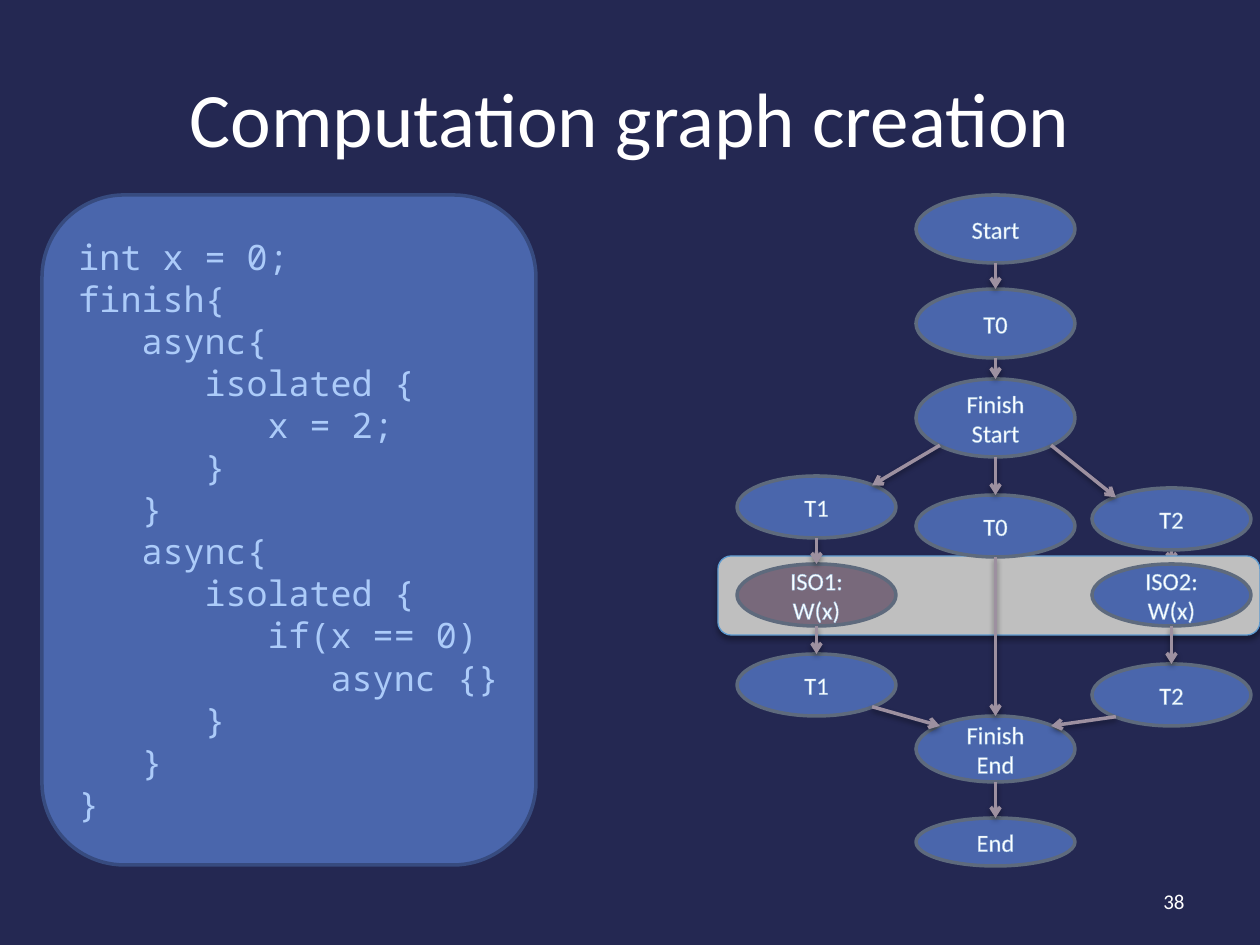
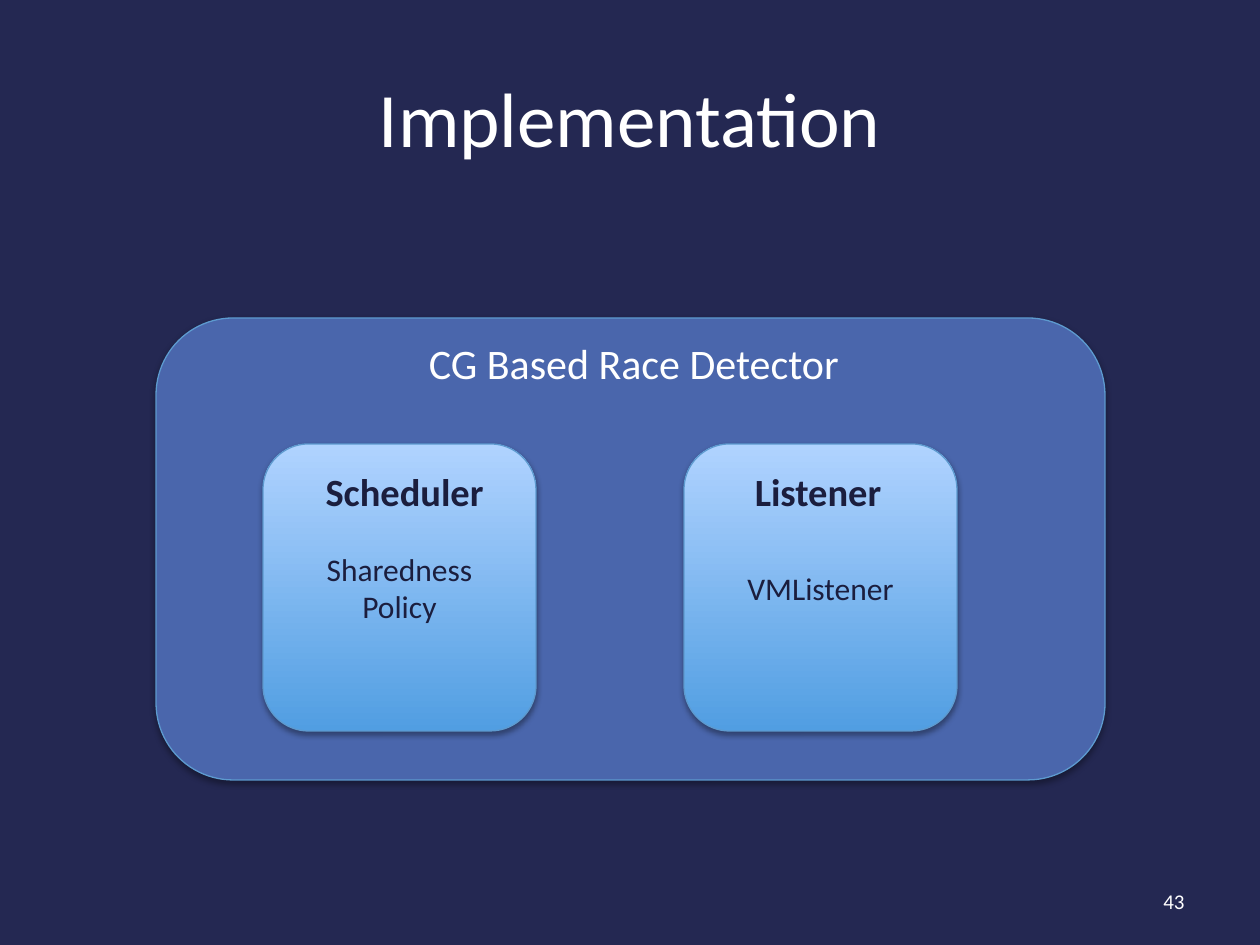
from lxml import etree
from pptx import Presentation, util as u
from pptx.dml import color
from pptx.enum import shapes, text
from pptx.oxml import ns

PX = 914400 / 126  # EMU in one px
SANS, MONO = "Calibri", "Noto Sans Mono"
NAVY, BLUE, WHITE, INK = "242852", "4A66AC", "FFFFFF", "1B1E3E"
SKY, SLATE, MAUVE, PLUM = "5D9ACF", "5E6A7D", "9D90A0", "78697B"
GLOW, CODE_TEXT, CODE_EDGE, GREY = "A1C4E3", "ACCBF9", "374B7F", "BFBFBF"
GRADIENT = ("519EE2", "B0D3FF")  # bottom to top
BOX_SHADOW, ARROW_SHADOW = (35, 23000), (38, 20000)  # opacity %, distance
LEFT, CENTER, RIGHT = (text.PP_ALIGN.LEFT, text.PP_ALIGN.CENTER,
                       text.PP_ALIGN.RIGHT)
TOP, MIDDLE = text.MSO_ANCHOR.TOP, text.MSO_ANCHOR.MIDDLE
ROUND = shapes.MSO_SHAPE.ROUNDED_RECTANGLE
OVAL = shapes.MSO_SHAPE.OVAL


def rgb(value):
    return color.RGBColor.from_string(value)


def emu(*lengths):
    return [u.Emu(round(n * PX)) for n in lengths]


def child(parent, tag, **attrs):
    return etree.SubElement(parent, ns.qn(tag), attrs)


class Deck:
    def __init__(self):
        self.prs = Presentation()
        self.prs.slide_width, self.prs.slide_height = emu(1260, 945)
        self.slide = None

    def new_slide(self, title, number):
        self.slide = self.prs.slides.add_slide(self.prs.slide_layouts[6])
        fill = self.slide.background.fill
        fill.solid()
        fill.fore_color.rgb = rgb(NAVY)
        self.label((63, 38, 1134, 158), title, 44, anchor=MIDDLE)
        self.label((903, 876, 294, 50), number, 12, align=RIGHT, anchor=MIDDLE)

    def add_text(self, s, lines, size, ink=WHITE, font=SANS, bold=False,
                 align=CENTER, anchor=MIDDLE, pitch=None, outline=None):
        tf = s.text_frame
        tf.word_wrap = True
        tf.vertical_anchor = anchor
        for i, line in enumerate(lines):
            p = tf.add_paragraph() if i else tf.paragraphs[0]
            p.alignment = align
            if pitch:
                p.line_spacing = u.Pt(pitch)
            r = p.add_run()
            r.text = line
            r.font.name, r.font.size, r.font.bold = font, u.Pt(size), bold
            r.font.color.rgb = rgb(ink)
            if outline:
                rpr = r._r.get_or_add_rPr()
                ln = child(rpr, "a:ln", w="9525")
                child(child(ln, "a:solidFill"), "a:srgbClr", val=outline)
                rpr.insert(0, ln)

    def label(self, box, words, size, anchor=TOP, **style):
        s = self.slide.shapes.add_textbox(*emu(*box))
        self.add_text(s, [words], size, anchor=anchor, **style)

    def effects(self, s, shadow):
        # an empty list switches the theme shadow off
        effects = child(s._element.spPr, "a:effectLst")
        if shadow:
            opacity, distance = shadow
            outer = child(effects, "a:outerShdw", blurRad="40000",
                          dist=str(distance), dir="5400000", rotWithShape="0")
            black = child(outer, "a:srgbClr", val="000000")
            child(black, "a:alpha", val=str(opacity * 1000))

    def shape(self, kind, box, fill, edge, width, shadow=None):
        s = self.slide.shapes.add_shape(kind, *emu(*box))
        if isinstance(fill, tuple):
            s.fill.gradient()
            s.fill.gradient_angle = 90
            for i, stop in enumerate(s.fill.gradient_stops):
                stop.color.rgb = rgb(fill[i])
                stop.position = i
        else:
            s.fill.solid()
            s.fill.fore_color.rgb = rgb(fill)
        s.line.color.rgb = rgb(edge)
        s.line.width = u.Pt(width)
        self.effects(s, shadow)
        return s

    def panel(self, box, fill):
        return self.shape(ROUND, box, fill, SKY, 0.75, BOX_SHADOW)

    def node(self, box, lines, fill=BLUE):
        s = self.shape(OVAL, box, fill, SLATE, 2)
        self.add_text(s, lines, 14, outline=GLOW)

    def arrow(self, start, end):
        s = self.slide.shapes.add_connector(
            shapes.MSO_CONNECTOR.STRAIGHT, *emu(*start, *end))
        s.line.color.rgb = rgb(MAUVE)
        s.line.width = u.Pt(2)
        child(s.line._get_or_add_ln(), "a:tailEnd", type="arrow")
        self.effects(s, ARROW_SHADOW)


# Graph nodes: column left, top, height, lines
NODE_W = 159
COL_1, COL_0, COL_2 = 737, 916, 1092
NODES = {
    "start": (COL_0, 195, 68, ["Start"]),
    "main": (COL_0, 289, 69, ["T0"]),
    "fork": (COL_0, 379, 78, ["Finish", "Start"]),
    "t0": (COL_0, 495, 62, ["T0"]),
    "join": (COL_0, 716, 66, ["Finish", "End"]),
    "end": (COL_0, 818, 48, ["End"]),
    "t1": (COL_1, 476, 62, ["T1"]),
    "iso1": (COL_1, 564, 62, ["ISO1: W(x)"]),
    "t1 after": (COL_1, 654, 62, ["T1"]),
    "t2": (COL_2, 488, 62, ["T2"]),
    "iso2": (COL_2, 564, 62, ["ISO2: W(x)"]),
    "t2 after": (COL_2, 664, 62, ["T2"]),
}
# Places on an ellipse as shares of its width and height
NEAR, FAR = 0.15, 0.85
SITES = {"top": (0.5, 0), "bottom": (0.5, 1),
         "top left": (NEAR, NEAR), "top right": (FAR, NEAR),
         "bottom left": (NEAR, FAR), "bottom right": (FAR, FAR)}
STRAIGHT = [("start", "main"), ("main", "fork"), ("fork", "t0"),
            ("t0", "join"), ("join", "end"), ("t1", "iso1"),
            ("iso1", "t1 after"), ("iso2", "t2 after")]
SLANTED = [("fork", "bottom left", "t1", "top right"),
           ("fork", "bottom right", "t2", "top left"),
           ("t1 after", "bottom right", "join", "top left"),
           ("t2 after", "bottom left", "join", "top right")]

CODE = """int x = 0;
finish{
   async{
      isolated {
         x = 2;
      }
   }
   async{
      isolated {
         if(x == 0)
            async {}
      }
   }
}"""


def site(name, place):
    x, y, h, _ = NODES[name]
    across, down = SITES[place]
    return x + across * NODE_W, y + down * h


def graph_slide(deck):
    deck.new_slide("Computation graph creation", "38")

    # Band behind the isolated nodes, over the arrow into ISO2
    deck.arrow(site("t2", "bottom"), site("iso2", "top"))
    deck.panel((718, 556, 542, 79), GREY)

    # Nodes and arrows
    for name, (x, y, h, lines) in NODES.items():
        deck.node((x, y, NODE_W, h), lines, PLUM if name == "iso1" else BLUE)
    for a, b in STRAIGHT:
        deck.arrow(site(a, "bottom"), site(b, "top"))
    for a, leave, b, enter in SLANTED:
        deck.arrow(site(a, leave), site(b, enter))

    # Code
    s = deck.shape(ROUND, (42, 195, 494, 670), BLUE, CODE_EDGE, 2)
    deck.add_text(s, CODE.split("\n"), 20, CODE_TEXT, MONO, align=LEFT,
                  pitch=24)


def implementation_slide(deck):
    deck.new_slide("Implementation", "43")
    deck.panel((156, 318, 949, 462), BLUE)
    deck.label((377, 331, 514, 63), "CG Based Race Detector", 24)

    # Parts of the detector: panel left, heading left and width
    for x, head_x, head_w, heading, content in (
            (263, 307, 195, "Scheduler", "Sharedness Policy"),
            (684, 733, 170, "Listener", "VMListener")):
        s = deck.panel((x, 444, 273, 287), GRADIENT)
        deck.add_text(s, [content], 18, INK)
        deck.label((head_x, 462, head_w, 59), heading, 22, ink=INK, bold=True)


def main():
    deck = Deck()
    graph_slide(deck)
    implementation_slide(deck)
    deck.prs.save("out.pptx")


if __name__ == "__main__":
    main()
